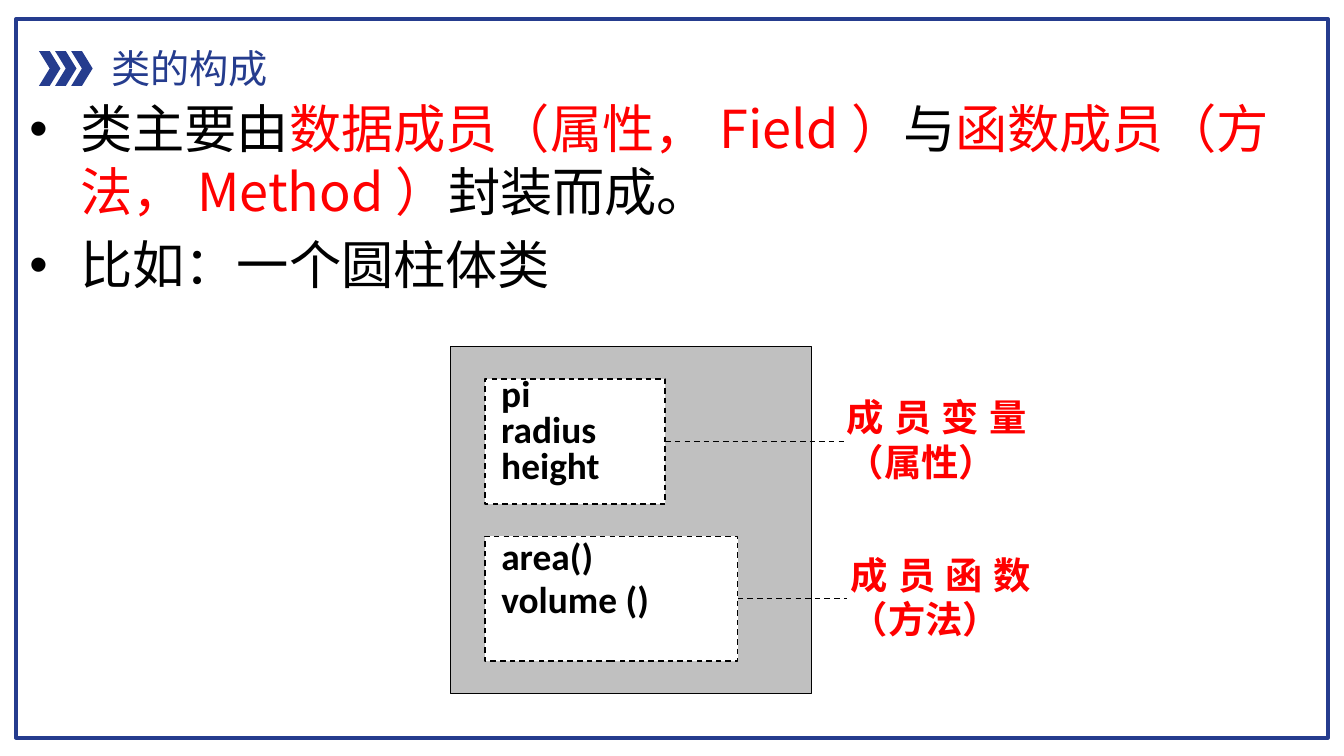
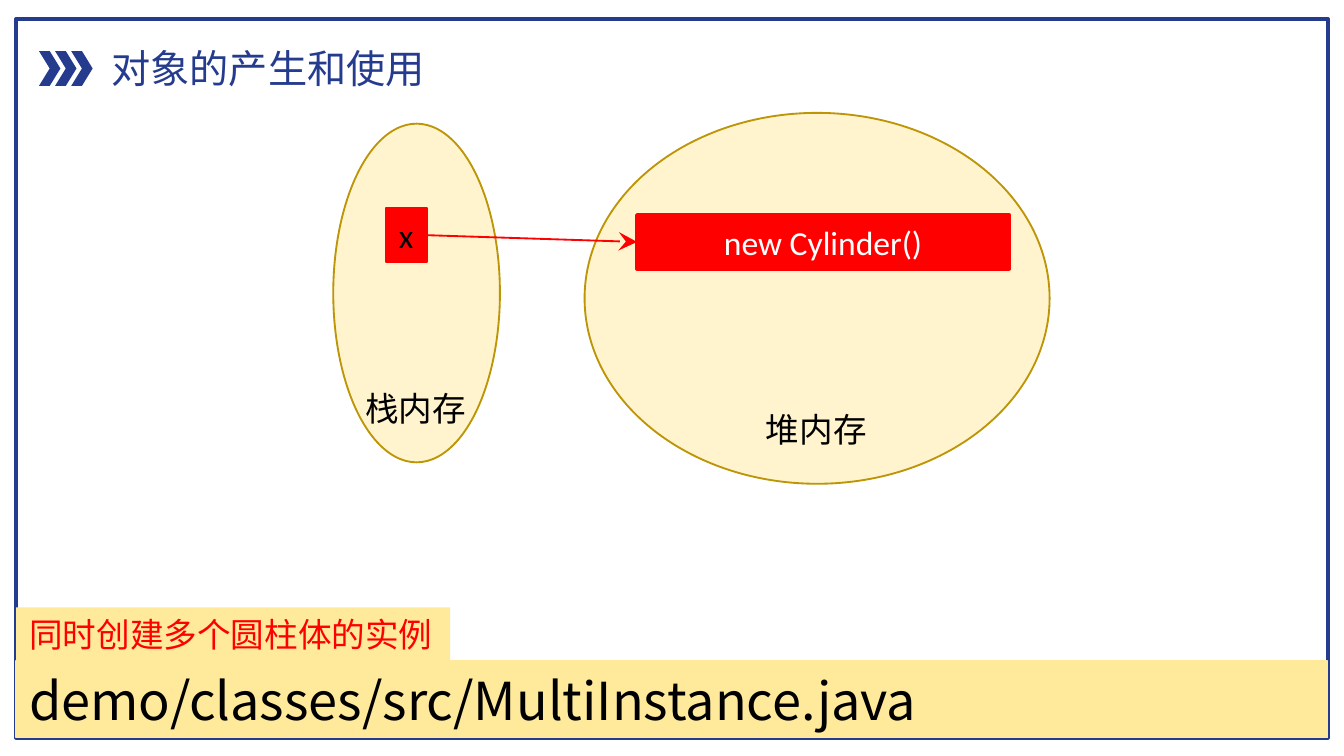
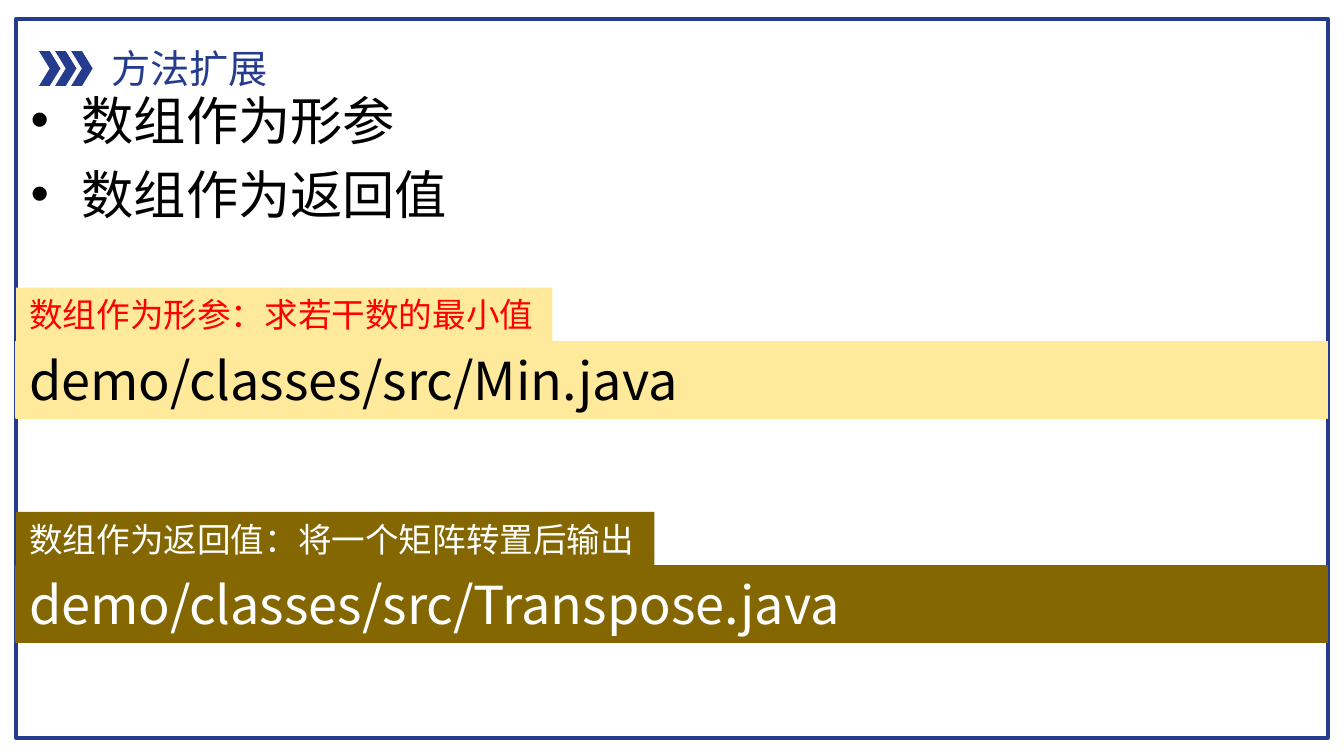
from lxml.etree import SubElement
from pptx import Presentation
from pptx.dml.color import RGBColor
from pptx.enum.dml import MSO_LINE
from pptx.enum.shapes import MSO_CONNECTOR, MSO_SHAPE
from pptx.enum.text import MSO_ANCHOR, MSO_AUTO_SIZE, PP_ALIGN
from pptx.oxml.ns import qn
from pptx.util import Inches, Pt

# Shared look
NAVY = RGBColor(0x25, 0x3C, 0x8E)
RED = RGBColor(0xFF, 0x00, 0x00)
BLACK = RGBColor(0x00, 0x00, 0x00)
WHITE = RGBColor(0xFF, 0xFF, 0xFF)
GRAY = RGBColor(0xC0, 0xC0, 0xC0)
CREAM = RGBColor(0xFF, 0xF4, 0xCE)
GOLD = RGBColor(0xBD, 0x95, 0x06)
YELLOW = RGBColor(0xFF, 0xEA, 0x9C)
BROWN = RGBColor(0x84, 0x67, 0x00)
CJK, LATIN, MONO = "Noto Sans CJK SC", "Calibri", "DejaVu Sans Mono"
LEFT, WIDTH = 0.12, 9.76
CHIP_HEIGHT, BAND_HEIGHT = 0.4, 0.57
INSETS = (0.1, 0.05, 0.1, 0.05)

# Slide 1: bullets are lists of (text, colour); members are
# (lines, box width, line spacing, label, label left), one row each
CLASS_TITLE = ("类的构成", 1.38)
CLASS_BULLETS = [
    [("类主要由", BLACK), ("数据成员（属性，Field）", RED), ("与", BLACK),
     ("函数成员（方法，Method）", RED), ("封装而成。", BLACK)],
    [("比如：一个圆柱体类", BLACK)],
]
MEMBERS = [
    (["pi", "radius", "height"], 1.34, 0.8, "成员变量（属性）", 6.3),
    (["area()", "volume ()"], 1.88, 0.96, "成员函数（方法）", 6.33),
]
MEMBER_LEFT, MEMBER_TOP, MEMBER_HEIGHT, MEMBER_STEP = 3.61, 2.82, 0.93, 1.17
LABEL_WIDTH, LABEL_HEIGHT, LABEL_EDGE = 1.34, 0.7, 6.3

# Slide 2: memory areas are (name, ellipse place, name place)
OBJECT_TITLE = ("对象的产生和使用", 2.56)
MEMORY_AREAS = [
    ("堆内存", (4.35, 0.84, 3.46, 2.76), (5.6, 2.99, 0.96, 0.4)),
    ("栈内存", (2.48, 0.92, 1.24, 2.52), (2.62, 2.84, 0.96, 0.4)),
]
INSTANCE_PLACE = (4.74, 1.6, 2.77, 0.4)
VARIABLE_PLACE = (2.87, 1.55, 0.31, 0.4)

# Demo bands: (top, caption, caption width, file, fill, caption colour, file colour, caption font)
INSTANCE_DEMO = (4.92, "同时创建多个圆柱体的实例", 3.23,
                 "demo/classes/src/MultiInstance.java", YELLOW, RED, BLACK, MONO)

# Slide 3
METHOD_TITLE = ("方法扩展", 1.38)
METHOD_BULLETS = [[("数组作为形参", BLACK)], [("数组作为返回值", BLACK)]]
METHOD_DEMOS = [
    (2.54, "数组作为形参：求若干数的最小值", 3.99,
     "demo/classes/src/Min.java", YELLOW, RED, BLACK, MONO),
    (4.21, "数组作为返回值：将一个矩阵转置后输出", 4.75,
     "demo/classes/src/Transpose.java", BROWN, WHITE, WHITE, CJK),
]


def add_box(shapes, place, kind=MSO_SHAPE.RECTANGLE, fill=None, line=None,
            weight=0.75, dash=None):
    box = shapes.add_shape(kind, *map(Inches, place))
    box.shadow.inherit = False
    if fill is None:
        box.fill.background()
    else:
        box.fill.solid()
        box.fill.fore_color.rgb = fill
    if line is None:
        box.line.fill.background()
    else:
        box.line.color.rgb = line
        box.line.width = Pt(weight)
        box.line.dash_style = dash
    return box


def add_textbox(shapes, place):
    return shapes.add_textbox(*map(Inches, place))


def style_run(span, size, font, color, bold=False):
    span.font.size = Pt(size)
    span.font.name = font
    span.font.color.rgb = color
    span.font.bold = bold
    SubElement(span._r.get_or_add_rPr(), qn("a:ea")).set("typeface", font)


def write(box, lines, size, font, color, bold=False, align=PP_ALIGN.LEFT,
          spacing=None, wrap=True, grow=False, insets=INSETS, anchor=MSO_ANCHOR.TOP):
    frame = box.text_frame
    frame.text = "\n".join(lines)
    frame.word_wrap = wrap
    frame.auto_size = MSO_AUTO_SIZE.SHAPE_TO_FIT_TEXT if grow else MSO_AUTO_SIZE.NONE
    frame.vertical_anchor = anchor
    (frame.margin_left, frame.margin_top,
     frame.margin_right, frame.margin_bottom) = map(Inches, insets)
    for para in frame.paragraphs:
        para.alignment = align
        para.line_spacing = spacing
        for span in para.runs:
            style_run(span, size, font, color, bold)


def add_line(shapes, start, end, color, weight, dash=None, head=None):
    line = shapes.add_connector(MSO_CONNECTOR.STRAIGHT, *map(Inches, start + end))
    line.line.color.rgb = color
    line.line.width = Pt(weight)
    line.line.dash_style = dash
    props = line.element.spPr
    if head:
        tail = SubElement(props.find(qn("a:ln")), qn("a:tailEnd"))
        tail.set("type", head)
        tail.set("w", "lg")
        tail.set("len", "lg")
    SubElement(props, qn("a:effectLst"))


def add_bullets(slide, place, bullets):
    frame = add_textbox(slide.shapes, place).text_frame
    frame.word_wrap = True
    for index, spans in enumerate(bullets):
        para = frame.add_paragraph() if index else frame.paragraphs[0]
        for text, color in spans:
            span = para.add_run()
            span.text = text
            style_run(span, 28, CJK, color)
        # Hanging indent, 20% space before and a round bullet
        props = para._p.get_or_add_pPr()
        props.set("marL", str(Inches(0.38)))
        props.set("indent", str(Inches(-0.38)))
        before = SubElement(props, qn("a:spcBef"))
        SubElement(before, qn("a:spcPct")).set("val", "20000")
        SubElement(props, qn("a:buFont")).set("typeface", "Arial")
        SubElement(props, qn("a:buChar")).set("char", "•")


def add_slide(deck, title, width):
    slide = deck.slides.add_slide(deck.slide_layouts[6])
    add_box(slide.shapes, (LEFT, 0.14, WIDTH, 5.35), line=NAVY, weight=2)
    heading = slide.shapes.add_group_shape().shapes
    for index in range(3):
        add_box(heading, (0.29 + 0.12 * index, 0.38, 0.16, 0.26),
                MSO_SHAPE.CHEVRON, fill=NAVY)
    write(add_textbox(heading, (0.73, 0.28, width, 0.45)), [title], 21, CJK, NAVY,
          wrap=False, grow=True)
    return slide


def add_demo(slide, top, caption, width, file, fill, caption_color, file_color, font):
    band = add_box(slide.shapes, (LEFT, top, WIDTH, BAND_HEIGHT), fill=fill, line=fill)
    write(band, [file], 28, CJK, file_color, grow=True)
    chip = add_box(slide.shapes, (LEFT, top - CHIP_HEIGHT, width, CHIP_HEIGHT), fill=fill)
    write(chip, [caption], 18, font, caption_color, wrap=False, grow=True)


def build_class_slide(deck):
    slide = add_slide(deck, *CLASS_TITLE)
    add_bullets(slide, (LEFT, 0.67, WIDTH, 4.82), CLASS_BULLETS)
    diagram = slide.shapes.add_group_shape().shapes
    add_box(diagram, (3.35, 2.58, 2.69, 2.58), fill=GRAY, line=BLACK)
    for row, (lines, width, spacing, label, label_left) in enumerate(MEMBERS):
        top = MEMBER_TOP + MEMBER_STEP * row
        middle = top + MEMBER_HEIGHT / 2
        member = add_box(diagram, (MEMBER_LEFT, top, width, MEMBER_HEIGHT),
                         fill=WHITE, line=BLACK, dash=MSO_LINE.DASH)
        write(member, lines, 20, LATIN, BLACK, True, PP_ALIGN.JUSTIFY, spacing,
              insets=(0.12, 0, 0, 0))
        tag = add_box(diagram, (label_left, middle - LABEL_HEIGHT / 2,
                                LABEL_WIDTH, LABEL_HEIGHT), fill=WHITE)
        write(tag, [label], 20, LATIN, RED, True, PP_ALIGN.JUSTIFY, insets=(0, 0, 0, 0))
        add_line(diagram, (MEMBER_LEFT + width, middle), (LABEL_EDGE, middle),
                 BLACK, 0.75, MSO_LINE.DASH)


def build_object_slide(deck):
    slide = add_slide(deck, *OBJECT_TITLE)
    diagram = slide.shapes.add_group_shape().shapes
    for name, area_place, name_place in MEMORY_AREAS:
        add_box(diagram, area_place, MSO_SHAPE.OVAL, CREAM, GOLD, 1)
        write(add_textbox(diagram, name_place), [name], 18, CJK, BLACK,
              wrap=False, grow=True)
    instance = add_box(diagram, INSTANCE_PLACE, fill=RED, line=RED, weight=2)
    write(instance, ["new Cylinder()"], 18, LATIN, WHITE, align=PP_ALIGN.CENTER,
          anchor=MSO_ANCHOR.MIDDLE)
    variable = add_box(diagram, VARIABLE_PLACE, fill=RED, line=RED, weight=1)
    write(variable, ["x"], 18, LATIN, BLACK, wrap=False, grow=True)
    # Reference from the variable to its instance
    left, top, width, height = VARIABLE_PLACE
    target_left, target_top, _, target_height = INSTANCE_PLACE
    add_line(diagram, (left + width, top + height / 2),
             (target_left, target_top + target_height / 2), RED, 1, head="stealth")
    add_demo(slide, *INSTANCE_DEMO)


def build_method_slide(deck):
    slide = add_slide(deck, *METHOD_TITLE)
    add_bullets(slide, (0.13, 0.61, 9.75, 4.82), METHOD_BULLETS)
    for demo in METHOD_DEMOS:
        add_demo(slide, *demo)


def main():
    deck = Presentation()
    # Widescreen, 16:9
    deck.slide_width = Inches(10)
    deck.slide_height = deck.slide_width * 9 // 16
    build_class_slide(deck)
    build_object_slide(deck)
    build_method_slide(deck)
    deck.save("out.pptx")


if __name__ == "__main__":
    main()
